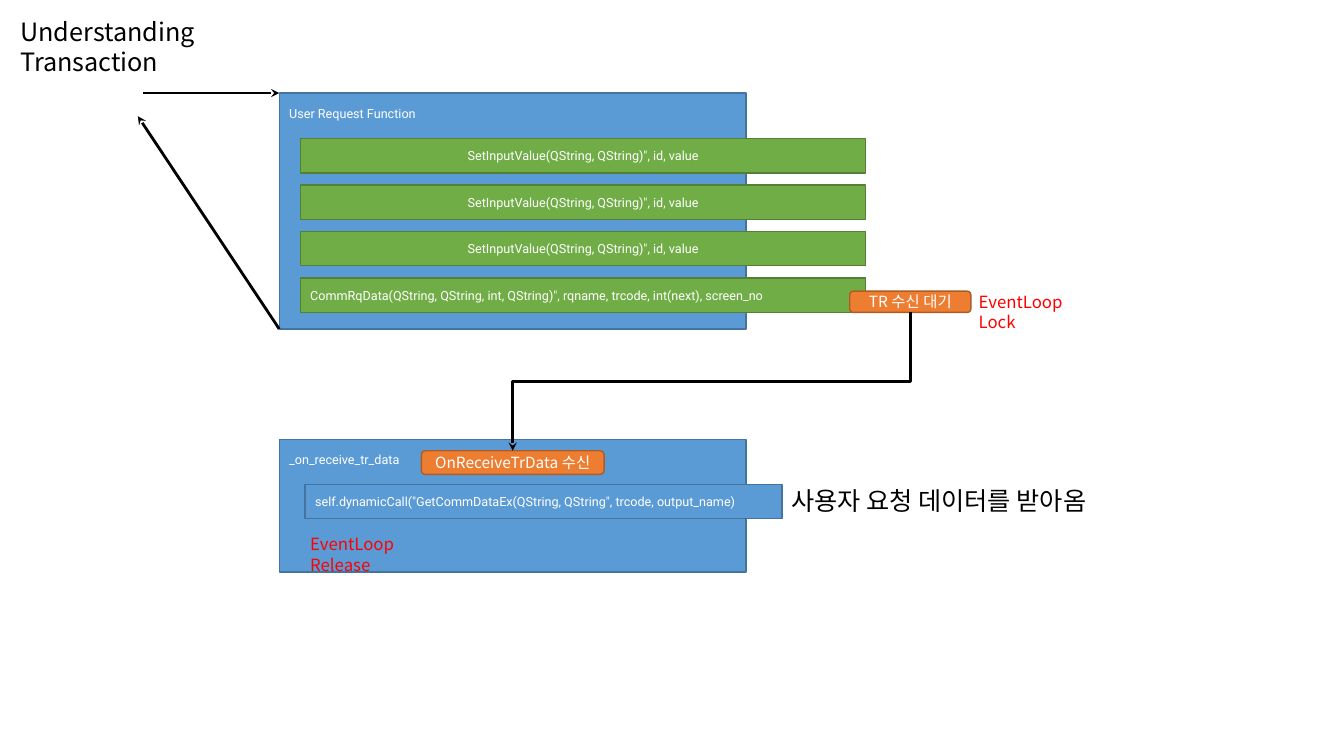
from dataclasses import dataclass
from lxml.etree import SubElement
from pptx import Presentation
from pptx.dml.color import RGBColor
from pptx.enum.shapes import MSO_CONNECTOR, MSO_SHAPE
from pptx.enum.text import MSO_ANCHOR, PP_ALIGN
from pptx.oxml.ns import qn
from pptx.util import Pt


@dataclass
class Theme:
    sans: str = "Noto Sans CJK KR"
    code: str = "Roboto"
    black: str = "000000"
    white: str = "FFFFFF"
    red: str = "FF0000"
    blue: tuple = ("5B9BD5", "43739E")
    green: tuple = ("70AD47", "538035")
    orange: tuple = ("ED7D31", "AF5C24")
    title: int = 18
    note: int = 12
    label: int = 11
    small: int = 9
    edge: int = 1
    wire: int = 2


class Board:
    def __init__(self, slide, theme):
        self.shapes = slide.shapes
        self.theme = theme

    def letter(self, frame, lines, font, size, color, align=PP_ALIGN.LEFT):
        frame.word_wrap = True
        para = frame.paragraphs[0]
        para.alignment = align
        for index, line in enumerate(lines):
            if index:
                para.add_line_break()
            run = para.add_run()
            run.text = line
            run.font.name = font
            run.font.size = Pt(size)
            run.font.color.rgb = RGBColor.from_string(color)
            SubElement(run.font._element, qn("a:ea"), typeface=font)

    def text(self, area, lines, size, color):
        box = self.shapes.add_textbox(*map(Pt, area))
        self.letter(box.text_frame, lines, self.theme.sans, size, color)

    def block(self, kind, area, paint):
        shape = self.shapes.add_shape(kind, *map(Pt, area))
        shape.shadow.inherit = False
        fill, edge = paint
        shape.fill.solid()
        shape.fill.fore_color.rgb = RGBColor.from_string(fill)
        shape.line.color.rgb = RGBColor.from_string(edge)
        shape.line.width = Pt(self.theme.edge)
        shape.text_frame.vertical_anchor = MSO_ANCHOR.MIDDLE
        return shape

    def code(self, area, line, paint, align=PP_ALIGN.LEFT):
        shape = self.block(MSO_SHAPE.RECTANGLE, area, paint)
        theme = self.theme
        self.letter(shape.text_frame, [line], theme.code, theme.small, theme.white, align)
        return shape

    def panel(self, area, name):
        frame = self.code(area, name, self.theme.blue).text_frame
        frame.vertical_anchor = MSO_ANCHOR.TOP
        frame.margin_top = Pt(9)

    def tag(self, area, line):
        shape = self.block(MSO_SHAPE.ROUNDED_RECTANGLE, area, self.theme.orange)
        theme = self.theme
        self.letter(shape.text_frame, [line], theme.sans, theme.label,
                    theme.white, PP_ALIGN.CENTER)
        return shape

    def arrow(self, start, end, kind=MSO_CONNECTOR.STRAIGHT):
        wire = self.shapes.add_connector(kind, *map(Pt, start + end))
        wire.line.color.rgb = RGBColor.from_string(self.theme.black)
        wire.line.width = Pt(self.theme.wire)
        SubElement(wire.line._get_or_add_ln(), qn("a:tailEnd"), type="stealth")
        SubElement(wire._element.spPr, qn("a:effectLst"))
        return wire

    def elbow(self, upper, lower):
        wire = self.arrow((0, 0), (0, 0), MSO_CONNECTOR.ELBOW)
        wire.begin_connect(upper, 2)
        wire.end_connect(lower, 0)
        left, top, width, height = wire.left, wire.top, wire.width, wire.height
        shift = (width - height) // 2
        wire.left, wire.top = left + shift, top - shift
        wire.width, wire.height = height, width
        xfrm = wire._element.spPr.xfrm
        xfrm.set("rot", str(90 * 60000))
        xfrm.attrib.pop("flipH", None)


def main():
    deck = Presentation()
    deck.slide_width, deck.slide_height = Pt(960), Pt(540)
    theme = Theme()
    board = Board(deck.slides.add_slide(deck.slide_layouts[6]), theme)

    board.text((7.5, 8, 230, 29), ["Understanding", "Transaction"], theme.title, theme.black)
    board.text((692, 205, 101.5, 21.5), ["EventLoop", "Lock"], theme.note, theme.red)

    board.panel((199.5, 314, 333.5, 94.5), "_on_receive_tr_data")
    board.code((218, 346, 340.5, 24.5),
               'self.dynamicCall("GetCommDataEx(QString, QString", trcode, output_name)',
               theme.blue)
    board.text((214.5, 378, 117.5, 21.5), ["EventLoop", "Release"], theme.note, theme.red)

    board.arrow((102, 66.5), (199.5, 66.5))
    board.panel((199.5, 66.5, 333.5, 168.5), "User Request Function")
    calls = [('SetInputValue(QString, QString)", id, value', PP_ALIGN.CENTER)] * 3
    calls.append(('CommRqData(QString, QString, int, QString)", rqname, trcode, '
                  'int(next), screen_no', PP_ALIGN.LEFT))
    for row, (line, align) in enumerate(calls):
        board.code((214.5, 99 + 33.2 * row, 404, 24.5), line, theme.green, align)

    wait = board.tag((607, 208, 86.5, 15.2), "TR 수신 대기")
    got = board.tag((301, 322, 130.5, 16.8), "OnReceiveTrData 수신")
    board.arrow((199.5, 235), (98.5, 83))
    board.elbow(wait, got)
    board.text((558, 343, 252, 29), ["사용자 요청 데이터를 받아옴"], theme.title, theme.black)

    deck.save("out.pptx")


if __name__ == "__main__":
    main()
